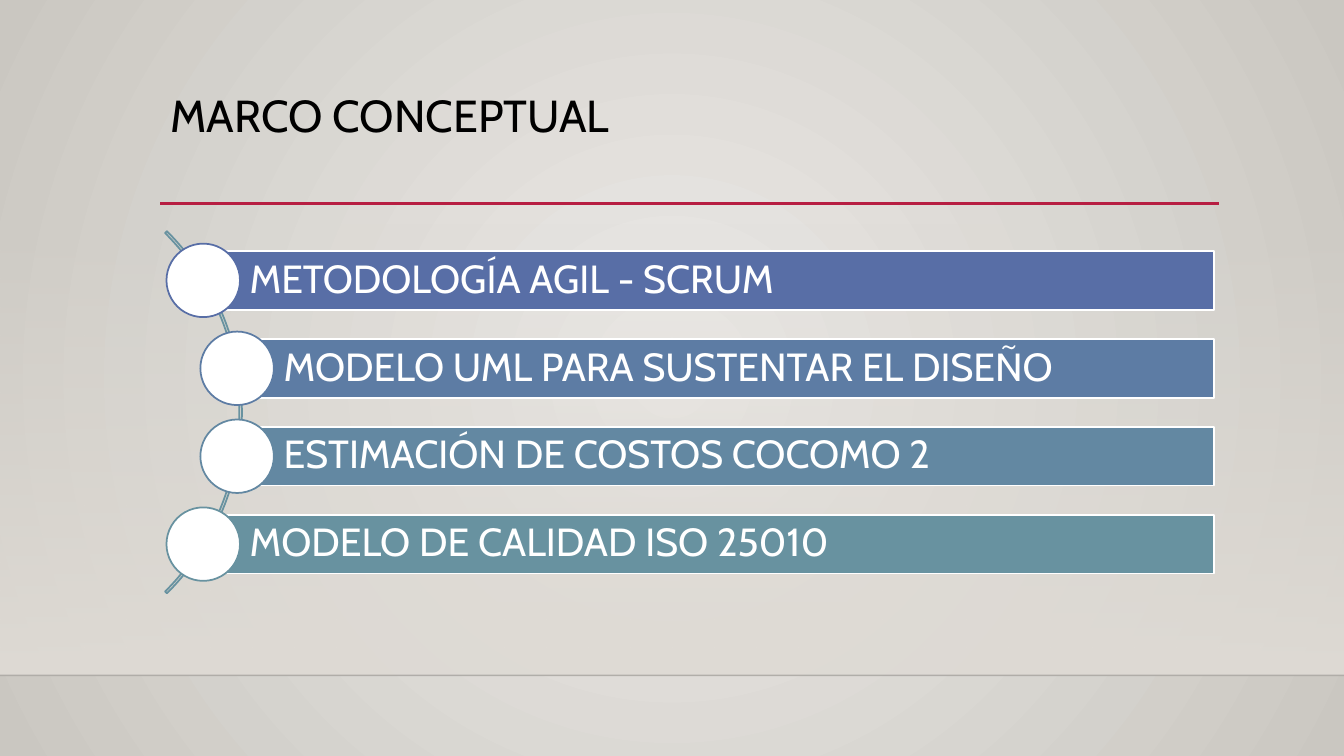
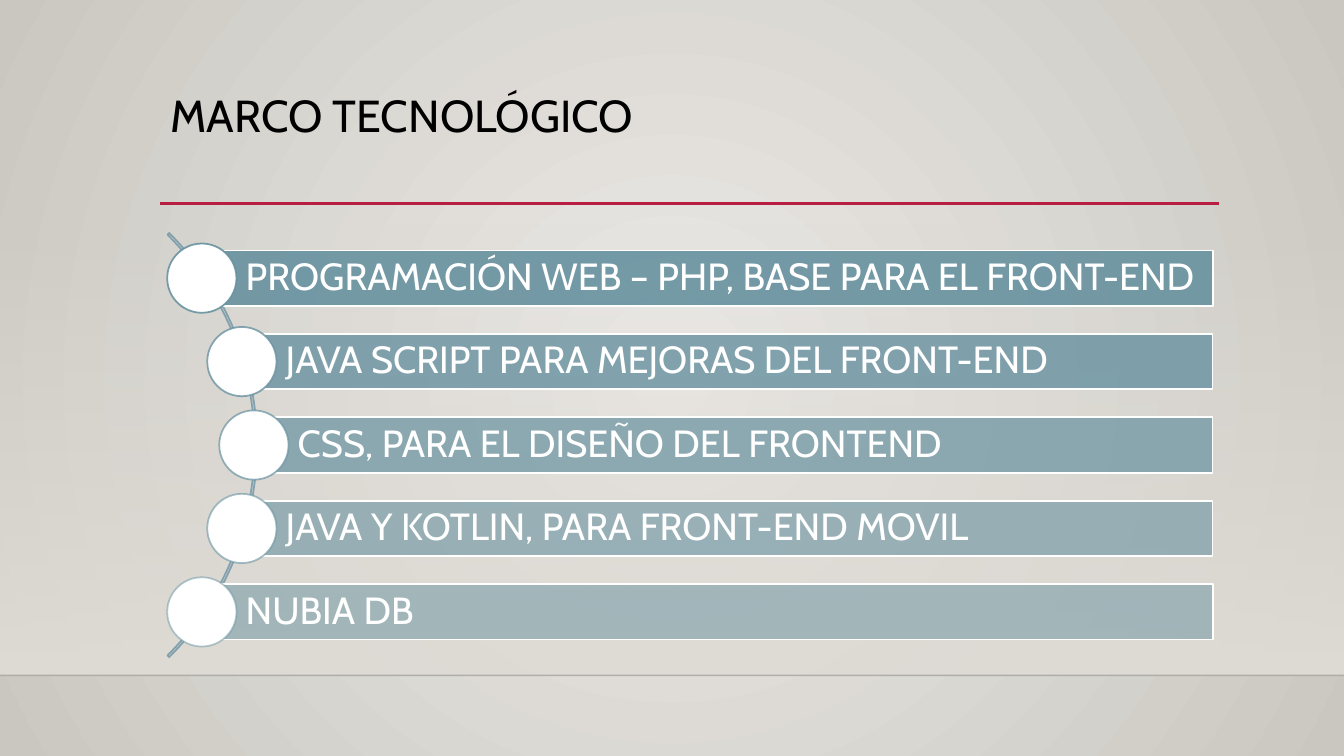
from dataclasses import dataclass

from lxml.etree import SubElement
from pptx import Presentation
from pptx.dml.color import RGBColor
from pptx.enum.shapes import MSO_CONNECTOR, MSO_SHAPE
from pptx.enum.text import MSO_ANCHOR, PP_ALIGN
from pptx.oxml.ns import qn
from pptx.util import Pt

FONT = "Cabin"
WIDTH, HEIGHT = 960, 540
FLOOR_Y = 482.4
BLACK = RGBColor(0x00, 0x00, 0x00)
WHITE = RGBColor(0xFF, 0xFF, 0xFF)
CRIMSON = RGBColor(0xB7, 0x1E, 0x42)
LIGHT = RGBColor(0xEC, 0xEA, 0xE7)
STONE = RGBColor(0xCA, 0xC7, 0xC1)
SAND = RGBColor(0xDF, 0xDB, 0xD5)
INDIGO = RGBColor(0x58, 0x6E, 0xA6)
BLUE = RGBColor(0x5D, 0x7C, 0xA4)
STEEL = RGBColor(0x63, 0x88, 0xA2)
TEAL = RGBColor(0x68, 0x92, 0xA0)
PALE_TEAL = RGBColor(0x83, 0xA1, 0xAD)


@dataclass(frozen=True)
class Step:
    """One bar of a list, with the centre of its circle as left edge."""
    text: str
    left: float
    color: RGBColor = TEAL
    opacity: int = 100


@dataclass(frozen=True)
class CurvedList:
    """A titled list of bars whose circles follow an arc."""
    title: str
    steps: tuple[Step, ...]
    right: float
    bar_height: float
    pitch: float
    font_size: float
    inset: float
    arc_left: float
    arc_top: float
    arc_size: float
    arc_thickness: float
    arc_color: RGBColor


LISTS = (
    CurvedList(
        "MARCO CONCEPTUAL",
        (
            Step("METODOLOGÍA AGIL - SCRUM", 145.2, INDIGO),
            Step("MODELO UML PARA SUSTENTAR EL DISEÑO", 169.4, BLUE),
            Step("ESTIMACIÓN DE COSTOS COCOMO 2", 169.4, STEEL),
            Step("MODELO DE CALIDAD ISO 25010", 145.2, TEAL),
        ),
        right=867.3, bar_height=42, pitch=62.8, font_size=28, inset=5.4,
        arc_left=-193, arc_top=111.6, arc_size=365.8, arc_thickness=0.005,
        arc_color=TEAL,
    ),
    CurvedList(
        "MARCO TECNOLÓGICO",
        (
            Step("PROGRAMACIÓN WEB – PHP, BASE PARA EL FRONT-END", 144.2, opacity=90),
            Step("JAVA SCRIPT PARA MEJORAS DEL FRONT-END", 172.8, opacity=80),
            Step("CSS, PARA EL DISEÑO DEL FRONTEND", 181.4, opacity=70),
            Step("JAVA Y KOTLIN, PARA FRONT-END MOVIL", 172.8, opacity=60),
            Step("NUBIA DB", 144.2, opacity=50),
        ),
        right=866.2, bar_height=39.6, pitch=59.6, font_size=27, inset=5,
        arc_left=-244.8, arc_top=103.7, arc_size=428.4, arc_thickness=0.004,
        arc_color=PALE_TEAL,
    ),
)


def set_opacity(parent, percent: int) -> None:
    """Make the solid colour directly under parent translucent."""
    if percent < 100:
        clr = parent.find(qn("a:solidFill")).find(qn("a:srgbClr"))
        SubElement(clr, qn("a:alpha"), val=str(percent * 1000))


def set_gradient(parent, stops: list[tuple[RGBColor, int]], radial: bool = False) -> None:
    """Replace the solid fill under parent with a gradient of colours and opacities."""
    solid = parent.find(qn("a:solidFill"))
    grad = parent.makeelement(qn("a:gradFill"), {"rotWithShape": "1"})
    parent.replace(solid, grad)
    gs_list = SubElement(grad, qn("a:gsLst"))
    for i, (color, opacity) in enumerate(stops):
        gs = SubElement(gs_list, qn("a:gs"), pos=str(i * 100000 // (len(stops) - 1)))
        clr = SubElement(gs, qn("a:srgbClr"), val=str(color))
        SubElement(clr, qn("a:alpha"), val=str(opacity * 1000))
    if radial:
        shade = SubElement(grad, qn("a:path"), {"path": "circle"})
        SubElement(shade, qn("a:fillToRect"), l="50000", t="50000", r="50000", b="50000")
    else:
        SubElement(grad, qn("a:lin"), ang="5400000", scaled="0")


def add_shape(slide, kind: MSO_SHAPE, left: float, top: float, width: float,
              height: float, *, fill: RGBColor | None = None, opacity: int = 100,
              line: RGBColor | None = None, line_opacity: int = 100):
    """Draw a flat preset shape."""
    sp = slide.shapes.add_shape(kind, Pt(left), Pt(top), Pt(width), Pt(height))
    sp.shadow.inherit = False
    if fill is None:
        sp.fill.background()
    else:
        sp.fill.solid()
        sp.fill.fore_color.rgb = fill
        set_opacity(sp.element.spPr, opacity)
    if line is None:
        sp.line.fill.background()
    else:
        sp.line.color.rgb = line
        sp.line.width = Pt(1.25)
        set_opacity(sp.element.spPr.find(qn("a:ln")), line_opacity)
    return sp


def add_rule(slide, left: float, right: float, y: float, *, color: RGBColor,
             width: float, opacity: int = 100) -> None:
    """Draw a horizontal line."""
    cx = slide.shapes.add_connector(MSO_CONNECTOR.STRAIGHT, Pt(left), Pt(y), Pt(right), Pt(y))
    cx.line.color.rgb = color
    cx.line.width = Pt(width)
    sp_pr = cx.element.spPr
    set_opacity(sp_pr.find(qn("a:ln")), opacity)
    SubElement(sp_pr, qn("a:effectLst"))


def write_text(sp, text: str, *, size: float, color: RGBColor, anchor: MSO_ANCHOR,
               left: float, inset: float) -> None:
    """Write one left-aligned paragraph into a shape."""
    tf = sp.text_frame
    tf.word_wrap = True
    tf.vertical_anchor = anchor
    tf.margin_left = Pt(left)
    tf.margin_top = tf.margin_right = tf.margin_bottom = Pt(inset)
    p = tf.paragraphs[0]
    p.alignment = PP_ALIGN.LEFT
    p.line_spacing = 0.9
    r = p.add_run()
    r.text = text
    r.font.name = FONT
    r.font.size = Pt(size)
    r.font.color.rgb = color


def set_background(master) -> None:
    """Give every slide the radial background."""
    master.background.fill.solid()
    master.background.fill.fore_color.rgb = LIGHT
    bg_pr = master.element.find(".//" + qn("p:bgPr"))
    set_gradient(bg_pr, [(LIGHT, 100), (STONE, 100)], radial=True)


def add_frame(slide, title: str) -> None:
    """Draw the wall, the floor line, the title and its rule."""
    wall = add_shape(slide, MSO_SHAPE.RECTANGLE, 0, 159, WIDTH, FLOOR_Y - 159, fill=SAND)
    set_gradient(wall.element.spPr, [(SAND, 0), (SAND, 100)])
    add_rule(slide, 0, WIDTH, FLOOR_Y, color=BLACK, width=1, opacity=20)
    add_rule(slide, 114.5, 871, 145.4, color=CRIMSON, width=2.5)
    box = slide.shapes.add_textbox(Pt(114.5), Pt(63.4), Pt(756), Pt(82.8))
    write_text(box, title, size=32, color=BLACK, anchor=MSO_ANCHOR.TOP, left=7.2, inset=3.6)


def add_curved_list(slide, c: CurvedList) -> None:
    """Draw the arc, then the bars and circles spread evenly about its middle."""
    arc = add_shape(slide, MSO_SHAPE.BLOCK_ARC, c.arc_left, c.arc_top, c.arc_size,
                    c.arc_size, line=c.arc_color)
    for i, value in enumerate((189, 27, c.arc_thickness)):
        arc.adjustments[i] = value
    diameter = c.bar_height * 1.25
    first_y = c.arc_top + c.arc_size / 2 - c.pitch * (len(c.steps) - 1) / 2
    for i, step in enumerate(c.steps):
        y = first_y + i * c.pitch
        bar = add_shape(slide, MSO_SHAPE.RECTANGLE, step.left, y - c.bar_height / 2,
                        c.right - step.left, c.bar_height, fill=step.color,
                        opacity=step.opacity, line=WHITE)
        write_text(bar, step.text, size=c.font_size, color=WHITE, anchor=MSO_ANCHOR.MIDDLE,
                   left=c.bar_height * 0.79, inset=c.inset)
        add_shape(slide, MSO_SHAPE.OVAL, step.left - diameter / 2, y - diameter / 2,
                  diameter, diameter, fill=WHITE, line=step.color,
                  line_opacity=step.opacity)


def main() -> None:
    """Build and save the presentation."""
    prs = Presentation()
    prs.slide_width, prs.slide_height = Pt(WIDTH), Pt(HEIGHT)
    set_background(prs.slide_master)
    for curved_list in LISTS:
        slide = prs.slides.add_slide(prs.slide_layouts[6])
        add_frame(slide, curved_list.title)
        add_curved_list(slide, curved_list)
    prs.save("out.pptx")


if __name__ == "__main__":
    main()
